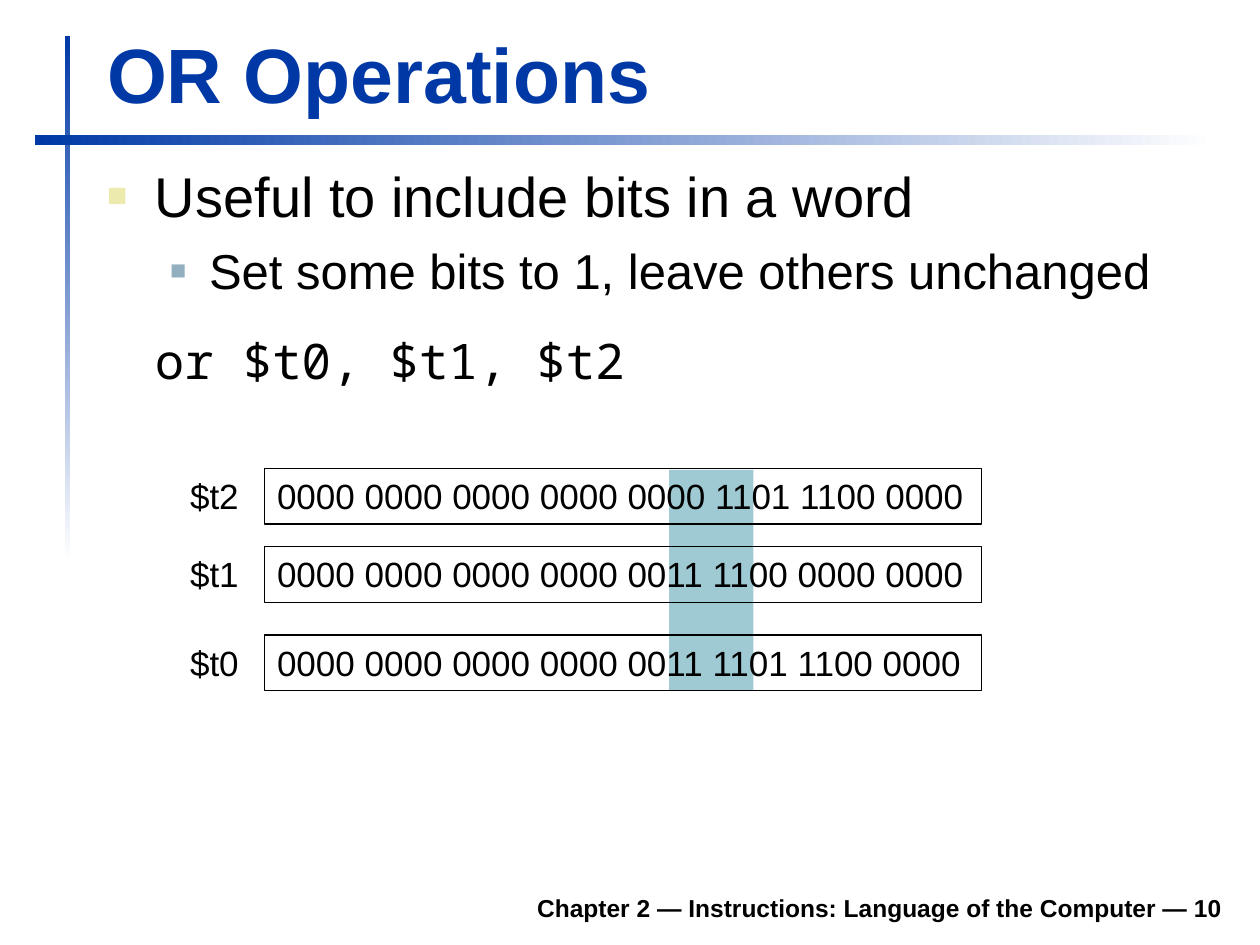
from lxml import etree
from pptx import Presentation, util as u
from pptx.dml.color import RGBColor
from pptx.enum import shapes, text
from pptx.oxml import ns

BLUE = RGBColor(0x00, 0x39, 0xA6)
WHITE = RGBColor(0xFF, 0xFF, 0xFF)
BLACK = RGBColor(0x00, 0x00, 0x00)
TEAL = RGBColor(0x9F, 0xCA, 0xD3)
CREAM = RGBColor(0xEC, 0xEA, 0xAC)
GREY_BLUE = RGBColor(0x91, 0xAF, 0xBF)

PAGE = (0, 0, u.Inches(10), u.Inches(7.5))
REGISTERS = [
    # name, bits, top of the row in percent of the region
    ("$t2", "0000 0000 0000 0000 0000 1101 1100 0000", 0),
    ("$t1", "0000 0000 0000 0000 0011 1100 0000 0000", 35.2),
    ("$t0", "0000 0000 0000 0000 0011 1101 1100 0000", 75),
]


def inside(box, left, top, width, height):
    """Box given in percent of an outer box."""
    x, y, w, h = box
    return (int(x + w * left / 100), int(y + h * top / 100),
            int(w * width / 100), int(h * height / 100))


def move(shape, box):
    shape.left, shape.top, shape.width, shape.height = box


def write(paragraph, words, size=20, color=BLACK, bold=False, font="Arial",
          align=text.PP_ALIGN.LEFT, before=0, after=0):
    paragraph.alignment = align
    paragraph.space_before, paragraph.space_after = u.Pt(before), u.Pt(after)
    run = paragraph.add_run()
    run.text = words
    run.font.size, run.font.bold, run.font.name = u.Pt(size), bold, font
    run.font.color.rgb = color


def set_bullet(paragraph, margin, indent, color=None, percent=100):
    """Set the indents, and a square bullet if a colour is given."""
    properties = paragraph._p.get_or_add_pPr()
    properties.set("marL", str(u.Inches(margin)))
    properties.set("indent", str(u.Inches(indent)))

    def add(parent, tag, **attributes):
        return etree.SubElement(parent, ns.qn(tag), **attributes)

    if color is None:
        add(properties, "a:buNone")
        return
    add(add(properties, "a:buClr"), "a:srgbClr", val=str(color))
    add(properties, "a:buSzPct", val=str(percent * 1000))
    add(properties, "a:buFont", typeface="Arial")
    add(properties, "a:buChar", char="■")


def add_rectangle(slide, box):
    shape = slide.shapes.add_shape(shapes.MSO_SHAPE.RECTANGLE, *box)
    shape.shadow.inherit = False
    shape.fill.background()
    shape.line.fill.background()
    return shape


def add_rules(slide, box):
    """Crossing lines that fade from blue to white."""
    for place, angle in (((5.15, 3.8, 0.4, 55.6), 270),
                         ((2.75, 14.27, 93.7, 1.07), 0)):
        fill = add_rectangle(slide, inside(box, *place)).fill
        fill.gradient()
        fill.gradient_angle = angle
        for stop, color in zip(fill.gradient_stops, (BLUE, WHITE)):
            stop.color.rgb = color


def add_title(slide, box):
    title = slide.shapes.title
    move(title, box)
    frame = title.text_frame
    frame.vertical_anchor = text.MSO_ANCHOR.BOTTOM
    frame.auto_size = text.MSO_AUTO_SIZE.NONE
    write(frame.paragraphs[0], "OR Operations", size=44, color=BLUE, bold=True)


def add_body(slide, box):
    body = slide.placeholders[1]
    move(body, box)
    frame = body.text_frame
    frame.auto_size = text.MSO_AUTO_SIZE.NONE
    main = frame.paragraphs[0]
    write(main, "Useful to include bits in a word", size=32, before=8)
    set_bullet(main, 0.38, -0.38, CREAM, 60)

    detail = frame.add_paragraph()
    detail.level = 1
    write(detail, "Set some bits to 1, leave others unchanged", size=28, before=7)
    set_bullet(detail, 0.81, -0.31, GREY_BLUE, 55)

    code = frame.add_paragraph()
    write(code, "or $t0, $t1, $t2", size=28, font="Noto Sans Mono",
          before=17.5, after=10.5)
    set_bullet(code, 0.38, 0)


def add_registers(slide, box):
    """Labelled register words over a band that marks the bits."""
    band = add_rectangle(slide, inside(box, 61.13, 0.5, 10.5, 99.5))
    band.fill.solid()
    band.fill.fore_color.rgb = TEAL
    for name, bits, top in REGISTERS:
        word = add_rectangle(slide, inside(box, 10.82, top, 89.18, 25))
        word.line.color.rgb = BLACK
        word.line.width = u.Pt(0.75)
        label = slide.shapes.add_textbox(*inside(box, 0, top, 10, 25))
        for shape, words in ((word, bits), (label, name)):
            frame = shape.text_frame
            frame.word_wrap = False
            frame.auto_size = text.MSO_AUTO_SIZE.NONE
            frame.vertical_anchor = text.MSO_ANCHOR.TOP
            write(frame.paragraphs[0], words)


def add_footer(slide, box):
    frame = slide.shapes.add_textbox(*box).text_frame
    frame.word_wrap = True
    frame.vertical_anchor = text.MSO_ANCHOR.BOTTOM
    write(frame.paragraphs[0],
          "Chapter 2 — Instructions: Language of the Computer — 10",
          size=14, bold=True, align=text.PP_ALIGN.RIGHT)


def main():
    presentation = Presentation()
    presentation.slide_width, presentation.slide_height = PAGE[2:]
    slide = presentation.slides.add_slide(presentation.slide_layouts[1])
    add_rules(slide, PAGE)
    add_title(slide, inside(PAGE, 7.5, 2.13, 90.3, 11.07))
    add_body(slide, inside(PAGE, 7.5, 16.4, 90.4, 30.27))
    add_registers(slide, inside(PAGE, 14.1, 49.6, 63.8, 23.47))
    add_footer(slide, inside(PAGE, 18.5, 93.07, 79.5, 5.2))
    presentation.save("out.pptx")


if __name__ == "__main__":
    main()
